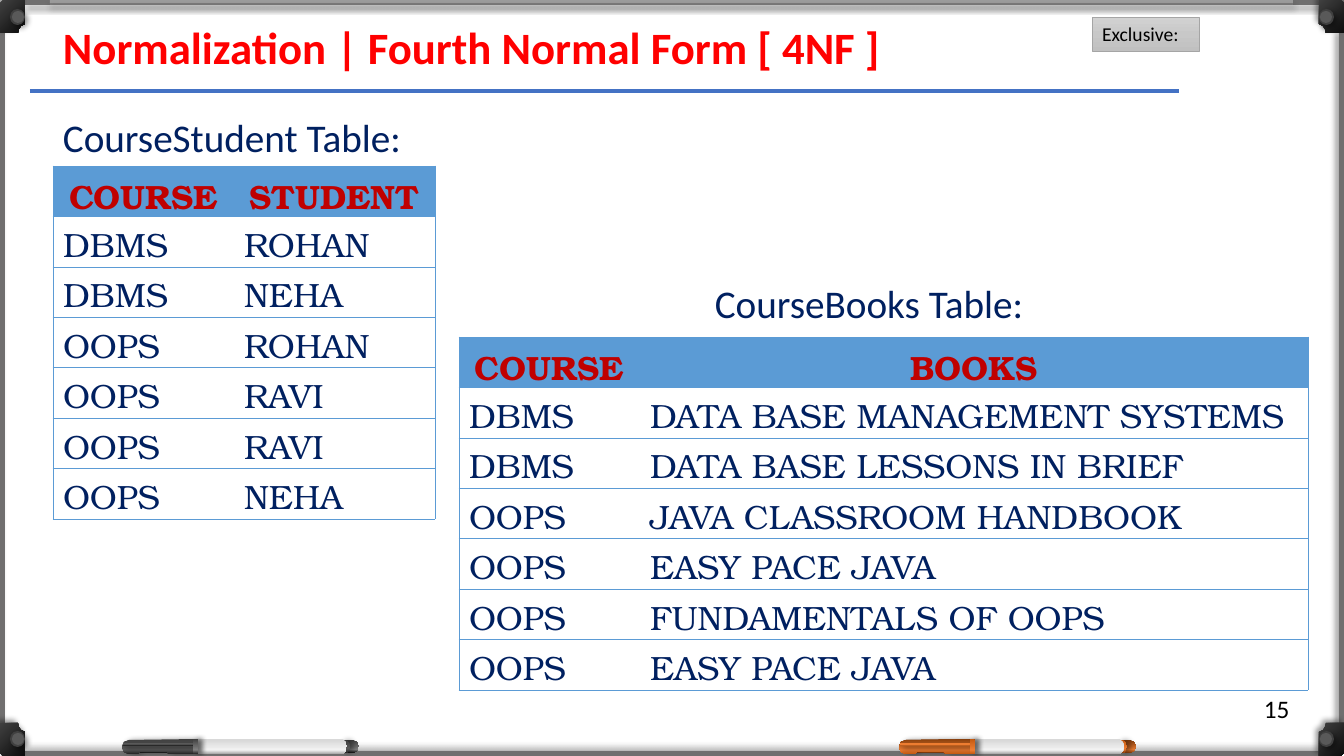
import pptx
import pptx.util
import pptx.dml.color
import pptx.enum.shapes
import pptx.enum.text
import pptx.oxml
import pptx.oxml.ns

RGB = pptx.dml.color.RGBColor
KIND = pptx.enum.shapes.MSO_SHAPE
ALIGN = pptx.enum.text.PP_ALIGN
NS = pptx.oxml.ns.nsdecls("a")
PX = 9144000 / 1008
WIDE, HIGH = 1344, 756

BLACK = RGB(0x00, 0x00, 0x00)
INK = RGB(0x0D, 0x0D, 0x0D)
COAL = RGB(0x26, 0x26, 0x26)
DARK = RGB(0x40, 0x40, 0x40)
STONE = RGB(0x59, 0x59, 0x59)
FRAME = RGB(0x70, 0x6F, 0x6F)
GRAY = RGB(0x80, 0x80, 0x80)
ASH = RGB(0xA6, 0xA6, 0xA6)
EDGE = RGB(0xA5, 0xA5, 0xA5)
SILVER = RGB(0xD9, 0xD9, 0xD9)
PALE = RGB(0xF2, 0xF2, 0xF2)
TAG = [RGB(0xD2, 0xD2, 0xD2), RGB(0xC8, 0xC8, 0xC8), RGB(0xC0, 0xC0, 0xC0)]
BROWN = RGB(0x84, 0x3C, 0x0B)
RUST = RGB(0xC5, 0x5A, 0x11)
ORANGE = RGB(0xED, 0x7D, 0x31)
RULE = RGB(0x44, 0x72, 0xC4)
BLUE = RGB(0x5B, 0x9B, 0xD5)
NAVY = RGB(0x00, 0x20, 0x60)
RED = RGB(0xFF, 0x00, 0x00)
WINE = RGB(0xC0, 0x00, 0x00)

deck = pptx.Presentation()
deck.slide_width, deck.slide_height = round(WIDE * PX), round(HIGH * PX)
slide = deck.slides.add_slide(deck.slide_layouts[6])
shapes = slide.shapes


def draw(kind, form, stops, angle=90, glow=None, alpha=100):
    if kind == "free":
        pen = shapes.build_freeform(*form[0], scale=PX)
        pen.add_line_segments(form[1:], close=True)
        shape = pen.convert_to_shape()
    else:
        shape = shapes.add_shape(kind, *[round(n * PX) for n in form])
    shape.line.fill.background()
    shape.shadow.inherit = False
    props = shape.element.spPr
    if len(stops) == 1:
        shape.fill.solid()
        shape.fill.fore_color.rgb = stops[0][1]
        if alpha < 100:
            tint = props.find(".//" + pptx.oxml.ns.qn("a:srgbClr"))
            tint.append(pptx.oxml.parse_xml(f'<a:alpha {NS} val="{alpha * 1000}"/>'))
    else:
        marks = "".join(f'<a:gs pos="{at * 1000}"><a:srgbClr val="{tone}"/></a:gs>' for at, tone in stops)
        props.insert(2, pptx.oxml.parse_xml(
            f'<a:gradFill {NS}><a:gsLst>{marks}</a:gsLst><a:lin ang="{angle * 60000}" scaled="0"/></a:gradFill>'))
    if glow is not None:
        props.find(pptx.oxml.ns.qn("a:effectLst")).append(pptx.oxml.parse_xml(
            f'<a:outerShdw {NS} blurRad="50800" dist="38100" dir="{glow * 60000}" algn="ctr" rotWithShape="0">'
            f'<a:srgbClr val="{BLACK}"><a:alpha val="40000"/></a:srgbClr></a:outerShdw>'))
    return shape


def write(frame, text, size, tone, bold=False, align=ALIGN.LEFT, font="Calibri"):
    para = frame.paragraphs[0]
    para.text = text
    para.alignment = align
    face = para.runs[0].font
    face.name, face.size, face.bold = font, pptx.util.Pt(size), bold
    face.color.rgb = tone


for form, glow in [((25, 0, 1319, 5), 90), ((0, 25, 5, 698), 180),
                   ((25, 751, 1294, 5), 270), ((1339, 33, 5, 698), 180)]:
    draw(KIND.RECTANGLE, form, [(0, FRAME)], glow=glow)
for deep, alpha in [(5, 16), (3, 33)]:
    draw(KIND.RECTANGLE, (50, 0, 1243, deep), [(0, SILVER)], glow=90, alpha=alpha)

corner = [(0, 3), (3, 0), (25, 0), (25, 24), (21, 26), (19, 29), (18, 33), (0, 33)]
for right in (False, True):
    for low in (False, True):
        form = [(WIDE - x if right else x, HIGH - y if low else y) for x, y in corner]
        draw("free", form, [(0, DARK), (100, INK)], 45, 225)
        for x, y, wide, high, tone, glow in [(10, 9, 15, 16, DARK, 45), (12, 11, 12, 12, STONE, None)]:
            left = WIDE - x - wide if right else x
            top = HIGH - y - high if low else y
            draw(KIND.OVAL, (left, top, wide, high), [(0, tone)], glow=glow)

tip = [(220, 740), (231, 740), (235, 742), (237, 746), (235, 751), (231, 753), (220, 753)]
body = [(76, 739), (221, 739), (224, 742), (225, 746), (224, 751), (221, 754), (76, 754), (75, 746)]
cap = [(76, 739), (7, 740), (2, 742), (0, 747), (2, 752), (7, 754), (16, 754), (18, 752),
       (45, 752), (47, 754), (76, 754), (75, 747)]
white = [(8, SILVER), (74, PALE), (100, ASH)]
black = [[(0, DARK), (74, GRAY), (100, INK)], [(0, DARK), (67, STONE), (100, COAL)],
         [(71, INK), (100, DARK)], [(0, DARK), (73, STONE), (100, COAL)],
         [(32, STONE), (71, DARK), (100, INK)], [(0, DARK), (73, GRAY), (100, COAL)]]
amber = [[(0, BROWN), (74, ORANGE), (100, BROWN)], [(0, RUST), (67, ORANGE), (100, BROWN)],
         [(71, BROWN), (100, RUST)], [(0, BROWN), (73, ORANGE), (100, RUST)],
         [(32, ORANGE), (71, ORANGE), (100, BROWN)], [(0, RUST), (73, ORANGE), (100, RUST)]]
for left, tones in [(122, black), (899, amber)]:
    end, ball, clip, lid, strip, band = tones
    draw("free", [(left + x, y) for x, y in tip], end)
    draw(KIND.OVAL, (left + 217, 740, 11, 13), ball, glow=0)
    draw("free", [(left + x, y) for x, y in body], white)
    draw(KIND.RECTANGLE, (left + 11, 750, 41, 3), clip)
    draw("free", [(left + x, y) for x, y in cap], lid, glow=0)
    draw(KIND.ROUNDED_RECTANGLE, (left + 1, 743, 70, 3), strip, glow=45)
    draw(KIND.ROUNDED_RECTANGLE, (left + 71, 739, 5, 15), band, glow=0)

rule = shapes.add_connector(pptx.enum.shapes.MSO_CONNECTOR.STRAIGHT,
                            *[round(n * PX) for n in (30, 91, 1179, 91)])
rule.line.color.rgb = RULE
rule.line.width = pptx.util.Pt(3)
rule.element.spPr.append(pptx.oxml.parse_xml(f"<a:effectLst {NS}/>"))

label = draw(KIND.RECTANGLE, (1092, 17, 107, 34), list(zip((0, 50, 100), TAG)))
label.line.color.rgb = EDGE
label.line.width = pptx.util.Pt(0.5)
label.text_frame.word_wrap = False
label.text_frame.margin_right = round(20 * PX)
write(label.text_frame, "Exclusive:", 14, BLACK, align=ALIGN.CENTER)

for form, text, size, tone, bold, align in [
    ((1254, 688, 50, 40), "15", 18, BLACK, False, ALIGN.LEFT),
    ((705, 274, 334, 57), "CourseBooks Table:", 28, NAVY, False, ALIGN.JUSTIFY),
    ((53, 15, 845, 65), "Normalization | Fourth Normal Form [ 4NF ]", 32, RED, True, ALIGN.LEFT),
    ((53, 108, 391, 57), "CourseStudent Table:", 28, NAVY, False, ALIGN.JUSTIFY),
]:
    frame = shapes.add_textbox(*[round(n * PX) for n in form]).text_frame
    frame.word_wrap = True
    write(frame, text, size, tone, bold, align)

books = [("COURSE", "BOOKS"), ("DBMS", "DATA BASE MANAGEMENT SYSTEMS"),
         ("DBMS", "DATA BASE LESSONS IN BRIEF"), ("OOPS", "JAVA CLASSROOM HANDBOOK"),
         ("OOPS", "EASY PACE JAVA"), ("OOPS", "FUNDAMENTALS OF OOPS"), ("OOPS", "EASY PACE JAVA")]
pupils = [("COURSE", "STUDENT"), ("DBMS", "ROHAN"), ("DBMS", "NEHA"), ("OOPS", "ROHAN"),
          ("OOPS", "RAVI"), ("OOPS", "RAVI"), ("OOPS", "NEHA")]
for left, top, widths, rows in [(459, 337, (181, 668), books), (53, 166, (181, 201), pupils)]:
    form = (left, top, sum(widths), 353)
    grid = shapes.add_table(len(rows), 2, *[round(n * PX) for n in form]).table
    grid.first_row = grid.horz_banding = False
    grid._tbl.tblPr[0].text = "{2D5ABB26-0587-4C30-8999-92F81FD0307C}"
    for col, wide in zip(grid.columns, widths):
        col.width = round(wide * PX)
    for i, row in enumerate(rows):
        for j, text in enumerate(row):
            cell = grid.cell(i, j)
            head = i == 0
            write(cell.text_frame, text, 24, WINE if head else NAVY, head,
                  ALIGN.CENTER if head else ALIGN.LEFT, "TeX Gyre Bonum")
            props = cell._tc.get_or_add_tcPr()
            for side in ("R" if j else "L", "T", "B"):
                props.append(pptx.oxml.parse_xml(
                    f'<a:ln{side} {NS} w="6350"><a:solidFill><a:srgbClr val="{BLUE}"/></a:solidFill></a:ln{side}>'))
            if head:
                cell.fill.solid()
                cell.fill.fore_color.rgb = BLUE
            else:
                cell.fill.background()

deck.save("out.pptx")
